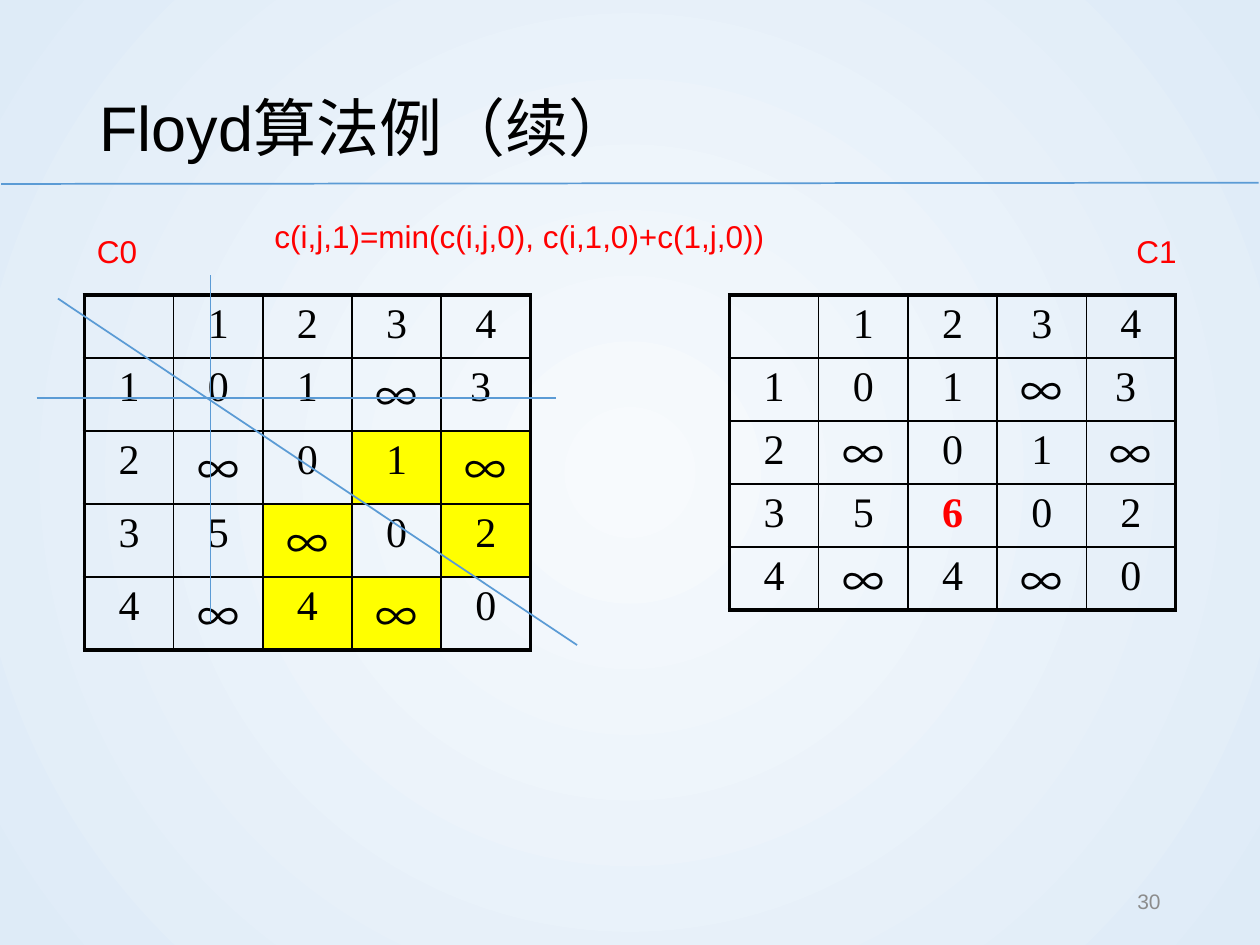
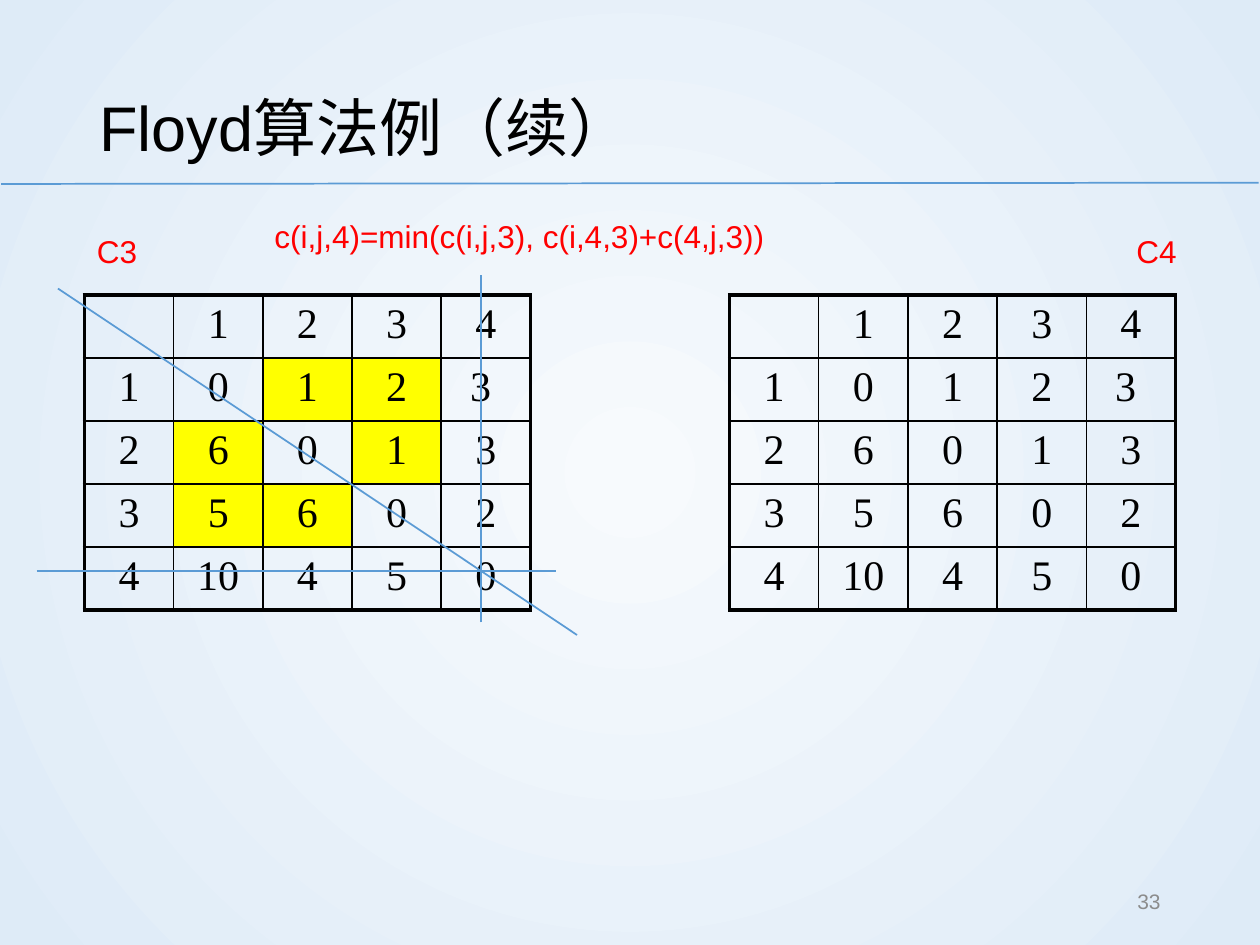
from dataclasses import dataclass

from pptx import Presentation
from pptx.dml.color import RGBColor
from pptx.enum.shapes import MSO_CONNECTOR as Connector
from pptx.enum.text import MSO_ANCHOR as Anchor, PP_ALIGN as Align
from pptx.oxml import parse_xml
from pptx.oxml.ns import nsdecls, qn
from pptx.oxml.xmlchemy import OxmlElement
from pptx.util import Inches, Pt

BLACK = RGBColor(0x00, 0x00, 0x00)
RED = RGBColor(0xFF, 0x00, 0x00)
GREY = RGBColor(0x8C, 0x8C, 0x8C)
BLUE = RGBColor(0x5B, 0x9B, 0xD5)
YELLOW = RGBColor(0xFF, 0xFF, 0x00)
CENTRE_TINT = RGBColor(0xF7, 0xFA, 0xFD)
EDGE_TINT = RGBColor(0xDE, 0xEB, 0xF7)

SANS, SERIF, CJK = "Arial", "Times New Roman", "Noto Sans CJK SC"
TITLE = "Floyd算法例（续）"
INFINITY = "∞"
SIZE = 4
TABLE_TOP, TABLE_WIDTH = 2.34, 3.54
BEFORE_LEFT, AFTER_LEFT = 0.67, 5.79
TEXT_ROW, INFINITY_ROW, AFTER_ROW = 0.47, 0.58, 0.5
THIN, THICK = 1, 2.25


@dataclass
class Step:
    """One pivot step: matrices before and after, and the pivot line positions."""
    pivot: int
    page_number: int
    before: list
    after: list
    row_line: float
    column_line: float
    diagonal_top: float


C0 = [["0", "1", INFINITY, "3 "],
      [INFINITY, "0", "1", INFINITY],
      ["5", INFINITY, "0", "2"],
      [INFINITY, "4", INFINITY, "0"]]
C1 = [*C0[:2], ["5", "6", "0", "2"], C0[3]]
C3 = [["0", "1", "2", "3 "],
      ["6", "0", "1", "3"],
      ["5", "6", "0", "2"],
      ["10", "4", "5", "0"]]

STEPS = [Step(1, 30, C0, C1, 3.16, 1.67, 2.37),
         Step(4, 33, C3, C3, 4.53, 3.82, 2.29)]


def style_span(span, size, color, font=SANS, bold=False):
    """Set size, colour and the Latin and East Asian fonts of a run."""
    span.font.name, span.font.size, span.font.bold = font, Pt(size), bold
    span.font.color.rgb = color
    east_asian = OxmlElement("a:ea")
    east_asian.set("typeface", CJK)
    span.font._element.find(qn("a:latin")).addnext(east_asian)


def add_text(page, box, text, size, color, anchor=Anchor.TOP, align=Align.LEFT, spacing=1.0):
    """Add a wrapped one-line text box at box (left, top, width, height)."""
    frame = page.shapes.add_textbox(*map(Inches, box)).text_frame
    frame.word_wrap = True
    frame.vertical_anchor = anchor
    frame.text = text
    para = frame.paragraphs[0]
    para.alignment, para.line_spacing = align, spacing
    style_span(para.runs[0], size, color)


def add_line(page, start, end):
    """Add a thin blue line without shadow."""
    line = page.shapes.add_connector(Connector.STRAIGHT, *map(Inches, start + end))
    line.line.color.rgb = BLUE
    line.line.width = Pt(1)
    line._element.spPr.append(OxmlElement("a:effectLst"))


def paint_background(page):
    """Fill the page with a gradient that spreads from its centre."""
    fill = page.background.fill
    fill.gradient()
    for stop, tint in zip(fill.gradient_stops, (CENTRE_TINT, EDGE_TINT)):
        stop.color.rgb = tint
    gradient = page.element.find(".//" + qn("a:gradFill"))
    gradient.replace(gradient.find(qn("a:lin")), parse_xml(
        f'<a:path {nsdecls("a")} path="circle">'
        '<a:fillToRect l="50000" t="50000" r="50000" b="50000"/></a:path>'))


def add_frame(page, page_number):
    """Add the background, title, rule and page number."""
    paint_background(page)
    add_line(page, (0.01, 1.46), (9.99, 1.45))
    add_text(page, (0.69, 0.4, 8.62, 1.08), TITLE, 36, BLACK, Anchor.MIDDLE, spacing=1.2)
    add_text(page, (7.06, 6.95, 2.25, 0.4), str(page_number), 12, GREY,
             Anchor.MIDDLE, Align.RIGHT)


def set_borders(cell, i, j):
    """Draw thin inner borders and thick outer ones."""
    outer = {"L": j == 0, "R": j == SIZE, "T": i == 0, "B": i == SIZE}
    for position, (side, thick) in enumerate(outer.items()):
        width = Pt(THICK if thick else THIN)
        cell._tc.get_or_add_tcPr().insert(position, parse_xml(
            f'<a:ln{side} {nsdecls("a")} w="{width}"><a:solidFill>'
            f'<a:srgbClr val="{BLACK}"/></a:solidFill></a:ln{side}>'))


def add_matrix(page, left, matrix, row_heights, filled, changed):
    """Add a matrix with index headings, marking filled and changed cells."""
    labels = [str(n) for n in range(1, SIZE + 1)]
    rows = [["", *labels]] + [[label, *row] for label, row in zip(labels, matrix)]
    table = page.shapes.add_table(
        SIZE + 1, SIZE + 1, Inches(left), Inches(TABLE_TOP),
        Inches(TABLE_WIDTH), Inches(sum(row_heights))).table
    table.first_row = table.horz_banding = False
    for column in table.columns:
        column.width = Inches(TABLE_WIDTH / (SIZE + 1))
    for i, (row, height) in enumerate(zip(rows, row_heights)):
        table.rows[i].height = Inches(height)
        for j, text in enumerate(row):
            cell = table.cell(i, j)
            if (i, j) in filled:
                cell.fill.solid()
                cell.fill.fore_color.rgb = YELLOW
            else:
                cell.fill.background()
            set_borders(cell, i, j)
            if not text:
                continue
            cell.text = text
            para = cell.text_frame.paragraphs[0]
            para.alignment = Align.CENTER
            marked = (i, j) in changed
            style_span(para.runs[0], 24, RED if marked else BLACK,
                       CJK if text == INFINITY else SERIF, marked)
            if text == INFINITY and height < INFINITY_ROW:
                cell.margin_top, cell.margin_bottom = Inches(0.01), 0


def add_pivot_lines(page, step):
    """Cross out the pivot row, the pivot column and the diagonal."""
    add_line(page, (0.29, step.row_line), (4.41, step.row_line))
    add_line(page, (step.column_line, 4.94), (step.column_line, 2.18))
    add_line(page, (0.46, step.diagonal_top), (4.58, step.diagonal_top + 2.75))


def add_step(page, step):
    """Lay out one pivot step with its formula and both matrices."""
    k, last = step.pivot, step.pivot - 1
    add_frame(page, step.page_number)
    indices = range(1, SIZE + 1)
    pairs = [(i, j) for i in indices for j in indices]
    candidates = {(i, j) for i, j in pairs if i != j and k not in (i, j)}
    changed = {(i, j) for i, j in pairs
               if step.before[i - 1][j - 1] != step.after[i - 1][j - 1]}
    before_heights = [TEXT_ROW] + [INFINITY_ROW if INFINITY in row else TEXT_ROW
                                   for row in step.before]
    add_matrix(page, BEFORE_LEFT, step.before, before_heights, candidates, set())
    add_matrix(page, AFTER_LEFT, step.after, [AFTER_ROW] * (SIZE + 1), set(), changed)
    add_text(page, (0.67, 1.79, 0.75, 0.4), f"C{last}", 18, RED)
    add_text(page, (8.92, 1.79, 0.75, 0.4), f"C{k}", 18, RED)
    formula = f"c(i,j,{k})=min(c(i,j,{last}), c(i,{k},{last})+c({k},j,{last}))"
    add_text(page, (2.08, 1.67, 7.58, 0.4), formula, 18, RED)
    add_pivot_lines(page, step)


def main():
    """Build and save the deck."""
    deck = Presentation()
    deck.slide_width, deck.slide_height = Inches(10), Inches(7.5)
    for step in STEPS:
        add_step(deck.slides.add_slide(deck.slide_layouts[6]), step)
    deck.save("out.pptx")


if __name__ == "__main__":
    main()
